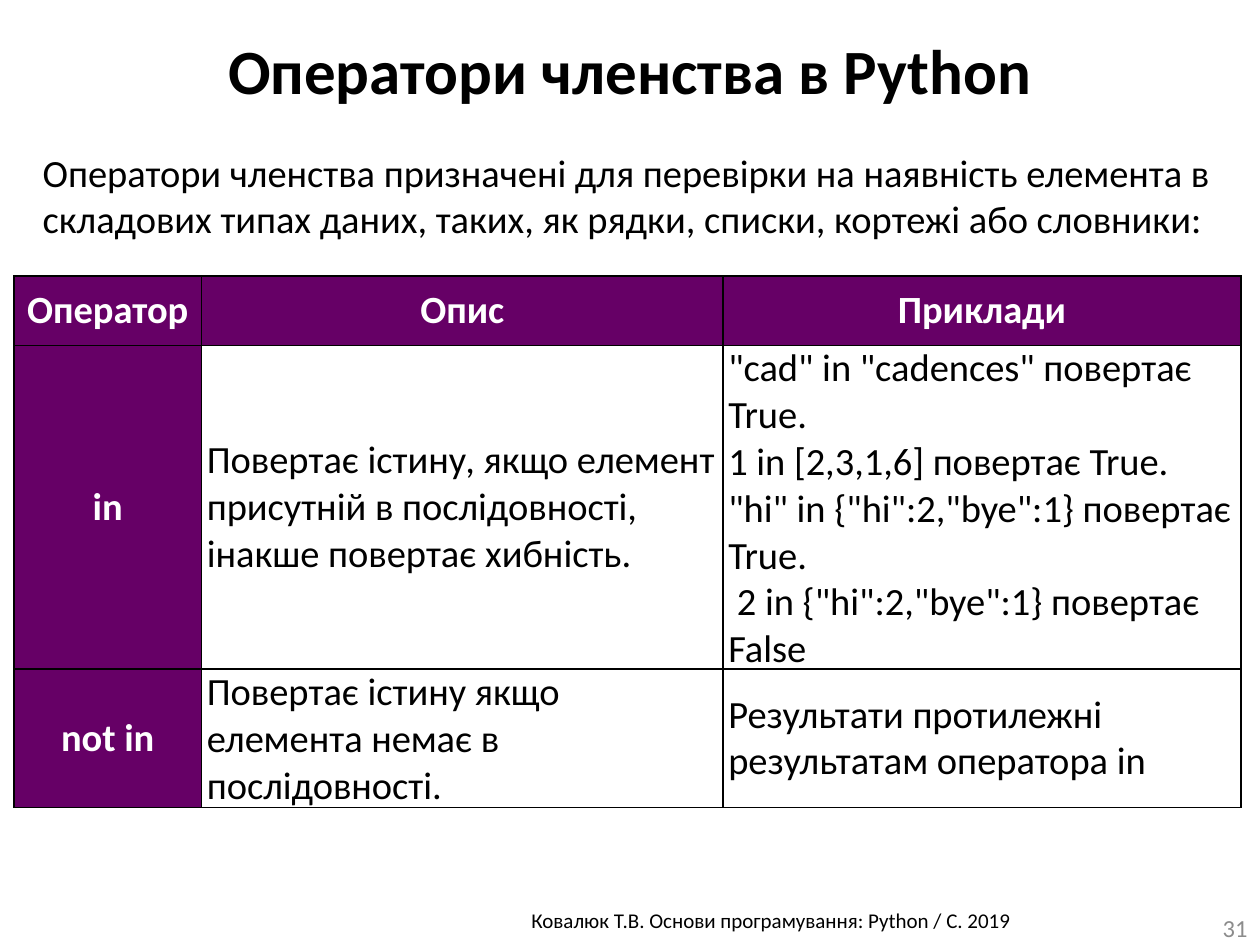
from lxml.etree import fromstring
from pptx import Presentation
from pptx.dml.color import RGBColor
from pptx.enum.text import MSO_ANCHOR, MSO_AUTO_SIZE, PP_ALIGN
from pptx.util import Pt

BLACK = RGBColor(0x00, 0x00, 0x00)
WHITE = RGBColor(0xFF, 0xFF, 0xFF)
GREY = RGBColor(0x8C, 0x8C, 0x8C)
PURPLE = RGBColor(0x66, 0x00, 0x66)

TITLE = {"size": Pt(36), "bold": True, "color": BLACK}
BODY = {"size": Pt(22), "bold": False, "color": BLACK}
HEADING = {"size": Pt(22), "bold": True, "color": WHITE}
FOOTER = {"size": Pt(12), "bold": False, "color": BLACK}
NUMBER = {"size": Pt(14), "bold": False, "color": GREY}

COLUMN_WIDTHS = (107.3, 298, 296)
ROW_HEIGHTS = (39.6, 185, 79.2)
ROWS = (
    ("Оператор", "Опис", "Приклади"),
    (
        "in",
        "Повертає істину, якщо елемент присутній в послідовності, інакше повертає хибність.",
        '"cad" in "cadences" повертає True.\v'
        "1 in [2,3,1,6] повертає True.\v"
        '"hi" in {"hi":2,"bye":1} повертає True.\v'
        '\u00a02 in {"hi":2,"bye":1} повертає False',
    ),
    (
        "not in",
        "Повертає істину якщо елемента немає в послідовності.",
        "Результати протилежні результатам оператора in",
    ),
)
DRAWING = "http://schemas.openxmlformats.org/drawingml/2006/main"


def write_text(frame, text, values, align=PP_ALIGN.LEFT):
    para = frame.paragraphs[0]
    para.text = text
    para.alignment = align
    for span in para.runs:
        span.font.name = "Calibri"
        for name, value in values.items():
            if name == "color":
                span.font.color.rgb = value
            else:
                setattr(span.font, name, value)


def add_title(page, box, text):
    title = page.shapes.title
    title.left, title.top, title.width, title.height = map(Pt, box)
    frame = title.text_frame
    frame.auto_size = MSO_AUTO_SIZE.NONE
    frame.vertical_anchor = MSO_ANCHOR.TOP
    write_text(frame, text, TITLE, PP_ALIGN.CENTER)


def add_text(page, box, text, values, align=PP_ALIGN.LEFT, anchor=MSO_ANCHOR.TOP):
    frame = page.shapes.add_textbox(*map(Pt, box)).text_frame
    frame.word_wrap = True
    frame.vertical_anchor = anchor
    write_text(frame, text, values, align)


def add_borders(cell):
    properties = cell._tc.get_or_add_tcPr()
    for position, side in enumerate(("lnL", "lnR", "lnT", "lnB")):
        line = fromstring(
            f'<a:{side} xmlns:a="{DRAWING}" w="{Pt(1)}"><a:solidFill>'
            f'<a:srgbClr val="{BLACK}"/></a:solidFill></a:{side}>'
        )
        properties.insert(position, line)


def format_cell(cell, text, is_heading):
    margins = {
        "margin_left": Pt(0 if is_heading else 3),
        "margin_right": Pt(0),
        "margin_top": Pt(0),
        "margin_bottom": Pt(0),
        "vertical_anchor": MSO_ANCHOR.MIDDLE,
    }
    for name, value in margins.items():
        setattr(cell, name, value)
    cell.fill.solid()
    cell.fill.fore_color.rgb = PURPLE if is_heading else WHITE
    add_borders(cell)
    if is_heading:
        write_text(cell.text_frame, text, HEADING, PP_ALIGN.CENTER)
    else:
        write_text(cell.text_frame, text, BODY)


def add_operator_table(page, left, top):
    box = (left, top, sum(COLUMN_WIDTHS), sum(ROW_HEIGHTS))
    table = page.shapes.add_table(len(ROWS), len(COLUMN_WIDTHS), *map(Pt, box)).table
    table.horz_banding = False
    for column, width in zip(table.columns, COLUMN_WIDTHS):
        column.width = Pt(width)
    for row, height in zip(table.rows, ROW_HEIGHTS):
        row.height = Pt(height)
    for row_index, texts in enumerate(ROWS):
        for column_index, text in enumerate(texts):
            is_heading = row_index == 0 or column_index == 0
            format_cell(table.cell(row_index, column_index), text, is_heading)


def build_page(deck):
    page = deck.slides.add_slide(deck.slide_layouts[5])
    add_text(page, (161.3, 514.8, 558.7, 21.6),
             "Ковалюк Т.В. Основи програмування: Python / C. 2019", FOOTER, PP_ALIGN.CENTER)
    add_text(page, (686.2, 519.8, 33.8, 20.2), "31", NUMBER, PP_ALIGN.RIGHT, MSO_ANCHOR.MIDDLE)
    add_title(page, (0, 14.4, 720, 51), "Оператори членства в Python")
    add_operator_table(page, 7.9, 157.7)
    add_text(page, (17.3, 81.4, 702.7, 60.5),
             "Оператори членства призначені для перевірки на наявність елемента в "
             "складових типах даних, таких, як рядки, списки, кортежі або словники:", BODY)


deck = Presentation()
deck.slide_width, deck.slide_height = Pt(720), Pt(540)
build_page(deck)
deck.save("out.pptx")
